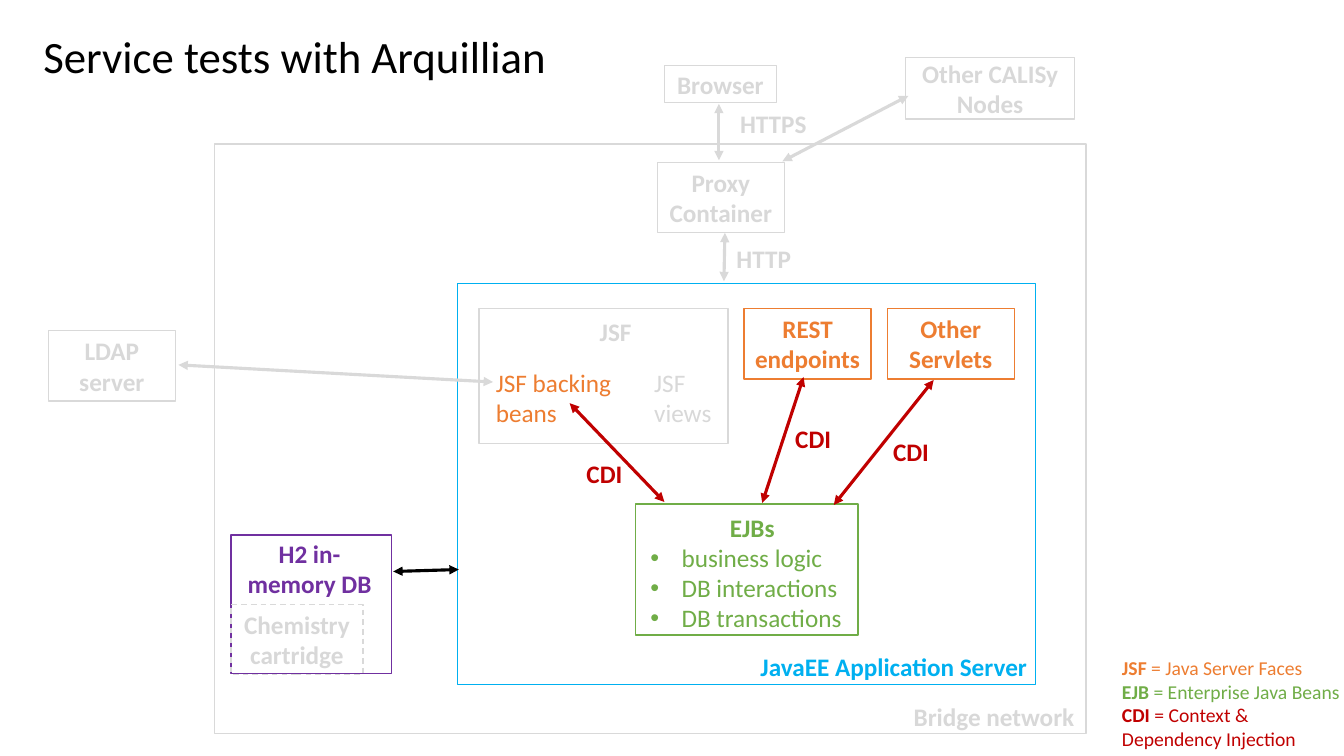
from dataclasses import dataclass

from lxml.etree import SubElement
from pptx import Presentation
from pptx.dml.color import RGBColor
from pptx.enum.dml import MSO_LINE
from pptx.enum.shapes import MSO_CONNECTOR, MSO_SHAPE
from pptx.enum.text import MSO_ANCHOR, MSO_AUTO_SIZE, PP_ALIGN
from pptx.oxml.ns import qn
from pptx.util import Pt


@dataclass(frozen=True)
class Theme:
    font: str = "Calibri"
    title_size: int = 32
    label_size: int = 18
    legend_size: int = 14
    frame_width: float = 1
    arrow_width: float = 2.25
    black: str = "000000"
    white: str = "FFFFFF"
    faded: str = "D9D9D9"
    faded_text: str = "D8D8D8"
    orange: str = "ED7D31"
    green: str = "70AD47"
    blue: str = "00B0F0"
    purple: str = "7030A0"
    red: str = "C00000"


theme = Theme()
PX = 9144
PAGE_SIZE = (1333, 750)

TITLE = "Service tests with Arquillian"
TITLE_AREA = (33, 23, 1267, 64)
EJB_DUTIES = ["business logic", "DB interactions", "DB transactions"]
EJB_AREA = (635, 533, 211, 93)
BULLET_INDENT = 31

FRAMES = [
    ((475, 306, 247, 134), theme.faded),
    ((630, 500, 221, 130), theme.green),
    ((454, 281, 573, 398), theme.blue),
    ((229, 531, 159, 137), theme.purple),
    ((213, 143, 864, 585), theme.faded),
]

NODE_SIZE = (126, 70)
NODES = [
    ("REST endpoints", (738, 306, *NODE_SIZE), theme.orange),
    ("Other Servlets", (880, 306, *NODE_SIZE), theme.orange),
    ("LDAP server", (48, 328, *NODE_SIZE), theme.faded),
    ("Proxy Container", (652, 161, *NODE_SIZE), theme.faded),
    ("Browser", (659, 65, 111, 37), theme.faded),
    ("Other CALISy Nodes", (898, 57, 168, 61), theme.faded),
]
CARTRIDGE = ("Chemistry cartridge", (229, 600, 131, 69), theme.faded)

CDI_SIZE = (59, 35)
CENTRED_LABELS = [
    ("JavaEE Application Server", (744, 638, 285, 47), theme.blue),
    ("H2 in-memory DB", (232, 539, 150, 49), theme.purple),
    ("CDI", (777, 417, *CDI_SIZE), theme.red),
    ("CDI", (874, 430, *CDI_SIZE), theme.red),
    ("CDI", (570, 452, *CDI_SIZE), theme.red),
    ("HTTP", (720, 239, 75, 35), theme.faded_text),
    ("HTTPS", (723, 105, 88, 35), theme.faded_text),
    ("Bridge network", (891, 687, 190, 47), theme.faded_text),
]

TOP_LABELS = [
    ("JSF", (585, 309, 56, 40), theme.faded_text, True),
    ("JSF backing beans", (482, 359, 136, 71), theme.orange, False),
    ("JSF views", (639, 359, 80, 71), theme.faded_text, False),
    ("EJBs", (714, 503, 75, 39), theme.green, True),
]

ARROWS = [
    ((455, 565), (390, 567), theme.black),
    ((489, 379), (177, 362), theme.faded),
    ((659, 498), (565, 400), theme.red),
    ((756, 499), (797, 374), theme.red),
    ((827, 501), (926, 377), theme.red),
    ((718, 279), (719, 231), theme.faded),
    ((713, 159), (713, 103), theme.faded),
    ((776, 160), (901, 95), theme.faded),
]

LEGEND_AREA = (1103, 646, 236, 104)
LEGEND = [
    ("JSF", " = Java Server Faces", theme.orange),
    ("EJB", " = Enterprise Java Beans", theme.green),
    ("CDI", " = Context & Dependency Injection", theme.red),
]


def emu(lengths):
    return [length * PX for length in lengths]


def place(shape, area):
    shape.left, shape.top, shape.width, shape.height = emu(area)


def prepare(shape, anchor):
    frame = shape.text_frame
    frame.word_wrap = True
    frame.auto_size = MSO_AUTO_SIZE.NONE
    frame.vertical_anchor = anchor
    return frame


def write(para, spans, size, align=PP_ALIGN.LEFT):
    para.alignment = align
    para.line_spacing = 1.0
    para.space_before = Pt(0)
    for text, color, bold in spans:
        span = para.add_run()
        span.text = text
        span.font.name = theme.font
        span.font.size = Pt(size)
        span.font.bold = bold
        span.font.color.rgb = RGBColor.from_string(color)


def write_lines(frame, lines, size):
    for number, spans in enumerate(lines):
        para = frame.add_paragraph() if number else frame.paragraphs[0]
        write(para, spans, size)


def add_frame(page, area, color):
    box = page.shapes.add_shape(MSO_SHAPE.RECTANGLE, *emu(area))
    box.shadow.inherit = False
    box.fill.background()
    box.line.color.rgb = RGBColor.from_string(color)
    box.line.width = Pt(theme.frame_width)
    return box


def add_node(page, text, area, color):
    box = add_frame(page, area, color)
    text_color = theme.faded_text if color == theme.faded else color
    frame = prepare(box, MSO_ANCHOR.MIDDLE)
    write(frame.paragraphs[0], [(text, text_color, True)], theme.label_size, PP_ALIGN.CENTER)
    return box


def add_label(page, text, area, color, bold, anchor, align):
    frame = prepare(page.shapes.add_textbox(*emu(area)), anchor)
    write(frame.paragraphs[0], [(text, color, bold)], theme.label_size, align)


def add_arrow(page, start, end, color):
    arrow = page.shapes.add_connector(MSO_CONNECTOR.STRAIGHT, *emu(start + end))
    arrow.line.color.rgb = RGBColor.from_string(color)
    arrow.line.width = Pt(theme.arrow_width)
    outline = arrow.line._get_or_add_ln()
    for tip in ("a:headEnd", "a:tailEnd"):
        SubElement(outline, qn(tip), type="triangle")
    SubElement(arrow._element.spPr, qn("a:effectLst"))


def add_bullet(para):
    properties = para._p.get_or_add_pPr()
    properties.set("marL", str(BULLET_INDENT * PX))
    properties.set("indent", str(-BULLET_INDENT * PX))
    SubElement(properties, qn("a:buFont"), typeface="Arial")
    SubElement(properties, qn("a:buChar"), char="•")


def main():
    deck = Presentation()
    deck.slide_width, deck.slide_height = emu(PAGE_SIZE)
    page = deck.slides.add_slide(deck.slide_layouts[1])

    title, duties = page.placeholders
    place(title, TITLE_AREA)
    title_frame = prepare(title, MSO_ANCHOR.TOP)
    write(title_frame.paragraphs[0], [(TITLE, theme.black, False)], theme.title_size)

    place(duties, EJB_AREA)
    duty_frame = prepare(duties, MSO_ANCHOR.TOP)
    write_lines(duty_frame, [[(duty, theme.green, False)] for duty in EJB_DUTIES], theme.label_size)
    for para in duty_frame.paragraphs:
        add_bullet(para)

    for area, color in FRAMES:
        add_frame(page, area, color)
    for node in NODES:
        add_node(page, *node)
    add_node(page, *CARTRIDGE).line.dash_style = MSO_LINE.DASH
    for label in CENTRED_LABELS:
        add_label(page, *label, True, MSO_ANCHOR.MIDDLE, PP_ALIGN.CENTER)
    for label in TOP_LABELS:
        add_label(page, *label, MSO_ANCHOR.TOP, PP_ALIGN.LEFT)
    for arrow in ARROWS:
        add_arrow(page, *arrow)

    legend = prepare(page.shapes.add_textbox(*emu(LEGEND_AREA)), MSO_ANCHOR.TOP)
    lines = [[(term, color, True), (meaning, color, False)] for term, meaning, color in LEGEND]
    write_lines(legend, lines, theme.legend_size)

    deck.save("out.pptx")


if __name__ == "__main__":
    main()
